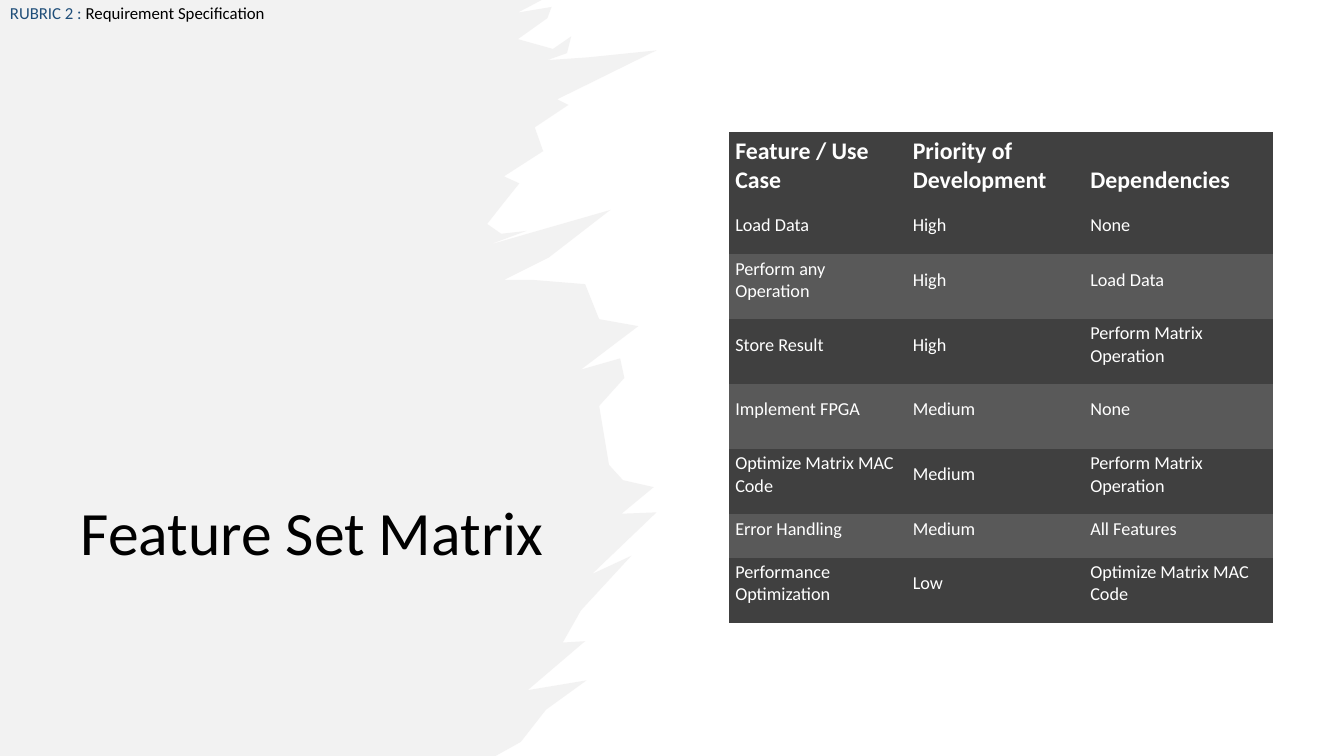
from lxml.etree import SubElement
from pptx import Presentation
from pptx.dml.color import RGBColor
from pptx.enum.text import MSO_ANCHOR, MSO_AUTO_SIZE, PP_ALIGN
from pptx.oxml.ns import qn
from pptx.util import Pt

FONT = "Calibri"
COLORS = {
    "brush": "E7E6E6", "black": "000000", "white": "FFFFFF",
    "blue": "1F4E79", "dark": "404040", "grey": "595959",
}

# Outline of the brush panel, clockwise from the top left corner
BRUSH = [
    (0, 0), (387, 0), (370, 9), (394, 5), (391, 13), (370, 28), (395, 35),
    (408, 26), (405, 38), (391, 43), (420, 41), (469, 36), (398, 71),
    (406, 75), (382, 91), (388, 108), (360, 126), (371, 131), (359, 146),
    (348, 160), (358, 167), (376, 165), (349, 175), (436, 150), (392, 184),
    (360, 200), (381, 200), (418, 203), (428, 228), (456, 233), (415, 264),
    (443, 256), (446, 270), (428, 290), (435, 332), (445, 343), (467, 348),
    (444, 367), (469, 366), (423, 410), (451, 397), (415, 436), (402, 459),
    (418, 458), (377, 493), (419, 486), (390, 507), (372, 530), (354, 540),
    (0, 540),
]

# Table
NO_GRID_STYLE = "{2D5ABB26-0587-4C30-8999-92F81FD0307C}"
COL_WIDTHS = [126.8, 126.8, 135.2]
HEADER_H, SHORT_H, TALL_H = 56.6, 31.2, 46.4
ROW_HEIGHTS = [HEADER_H, SHORT_H] + [TALL_H] * 4 + [SHORT_H, TALL_H]
FEATURES = [
    ("Feature / Use Case", "Priority of Development", "Dependencies"),
    ("Load Data", "High", "None"),
    ("Perform any Operation", "High", "Load Data"),
    ("Store Result", "High", "Perform Matrix Operation"),
    ("Implement FPGA", "Medium", "None"),
    ("Optimize Matrix MAC Code", "Medium", "Perform Matrix Operation"),
    ("Error Handling", "Medium", "All Features"),
    ("Performance Optimization", "Low", "Optimize Matrix MAC Code"),
]


def rgb(name):
    return RGBColor.from_string(COLORS[name])


def style_font(font, size, color, bold=False):
    font.name, font.size, font.bold = FONT, Pt(size), bold
    font.color.rgb = rgb(color)


def add_brush(slide):
    builder = slide.shapes.build_freeform(*BRUSH[0], scale=Pt(1))
    builder.add_line_segments(BRUSH[1:], close=True)
    sp = builder.convert_to_shape()
    sp.shadow.inherit = False
    sp.line.fill.background()
    sp.fill.solid()
    sp.fill.fore_color.rgb = rgb("brush")
    color = next(sp.element.spPr.iter(qn("a:srgbClr")))
    SubElement(color, qn("a:alpha"), val="50000")
    # Keep the panel behind the title
    slide.shapes.title.element.addprevious(sp.element)


def set_title(slide, text, left, top, width, height):
    title = slide.shapes.title
    title.left, title.top, title.width, title.height = map(Pt, (left, top, width, height))
    tf = title.text_frame
    tf.text = text
    tf.word_wrap, tf.auto_size = True, MSO_AUTO_SIZE.NONE
    tf.vertical_anchor = MSO_ANCHOR.BOTTOM
    p = tf.paragraphs[0]
    p.alignment, p.line_spacing = PP_ALIGN.LEFT, 0.9
    style_font(p.font, 44, "black")


def add_label(slide, runs, left, top, width, height):
    tf = slide.shapes.add_textbox(*map(Pt, (left, top, width, height))).text_frame
    tf.word_wrap = True
    p = tf.paragraphs[0]
    p.line_spacing, p.space_after = 0.9, Pt(6)
    for text, color in runs:
        r = p.add_run()
        r.text = text
        style_font(r.font, 12, color)


def fill_cell(cell, text, is_header, fill):
    cell.text = text
    cell.margin_left = cell.margin_right = Pt(5)
    cell.margin_top, cell.margin_bottom = Pt(1.5), Pt(11.5)
    cell.vertical_anchor = MSO_ANCHOR.BOTTOM if is_header else MSO_ANCHOR.MIDDLE
    cell.fill.solid()
    cell.fill.fore_color.rgb = rgb(fill)
    p = cell.text_frame.paragraphs[0]
    style_font(p.font, 17 if is_header else 13, "white", is_header)


def add_left_borders(frame):
    for tr in frame.element.iter(qn("a:tr")):
        tc_pr = tr.find(qn("a:tc")).find(qn("a:tcPr"))
        border = SubElement(tc_pr, qn("a:lnL"), w=str(Pt(1).emu))
        SubElement(SubElement(border, qn("a:solidFill")), qn("a:srgbClr"), val=COLORS["white"])
        tc_pr.insert(0, border)  # borders come before the fill


def add_feature_table(slide, left, top):
    frame = slide.shapes.add_table(
        len(FEATURES), len(COL_WIDTHS), Pt(left), Pt(top),
        Pt(sum(COL_WIDTHS)), Pt(sum(ROW_HEIGHTS)))
    table = frame.table
    next(frame.element.iter(qn("a:tableStyleId"))).text = NO_GRID_STYLE
    for column, width in zip(table.columns, COL_WIDTHS):
        column.width = Pt(width)
    for i, (row, height, texts) in enumerate(zip(table.rows, ROW_HEIGHTS, FEATURES)):
        row.height = Pt(height)
        fill = "grey" if i and i % 2 == 0 else "dark"
        for cell, text in zip(row.cells, texts):
            fill_cell(cell, text, i == 0, fill)
    add_left_borders(frame)


def main():
    prs = Presentation()
    prs.slide_width, prs.slide_height = Pt(960), Pt(540)
    slide = prs.slides.add_slide(prs.slide_layouts[5])
    add_brush(slide)
    set_title(slide, "Feature Set Matrix", 50.4, 50.4, 363.6, 359.3)
    add_feature_table(slide, 520.2, 94)
    add_label(slide, [("RUBRIC 2 : ", "blue"), ("Requirement Specification", "black")],
              0, 0, 349.2, 27.4)
    prs.save("out.pptx")


if __name__ == "__main__":
    main()
